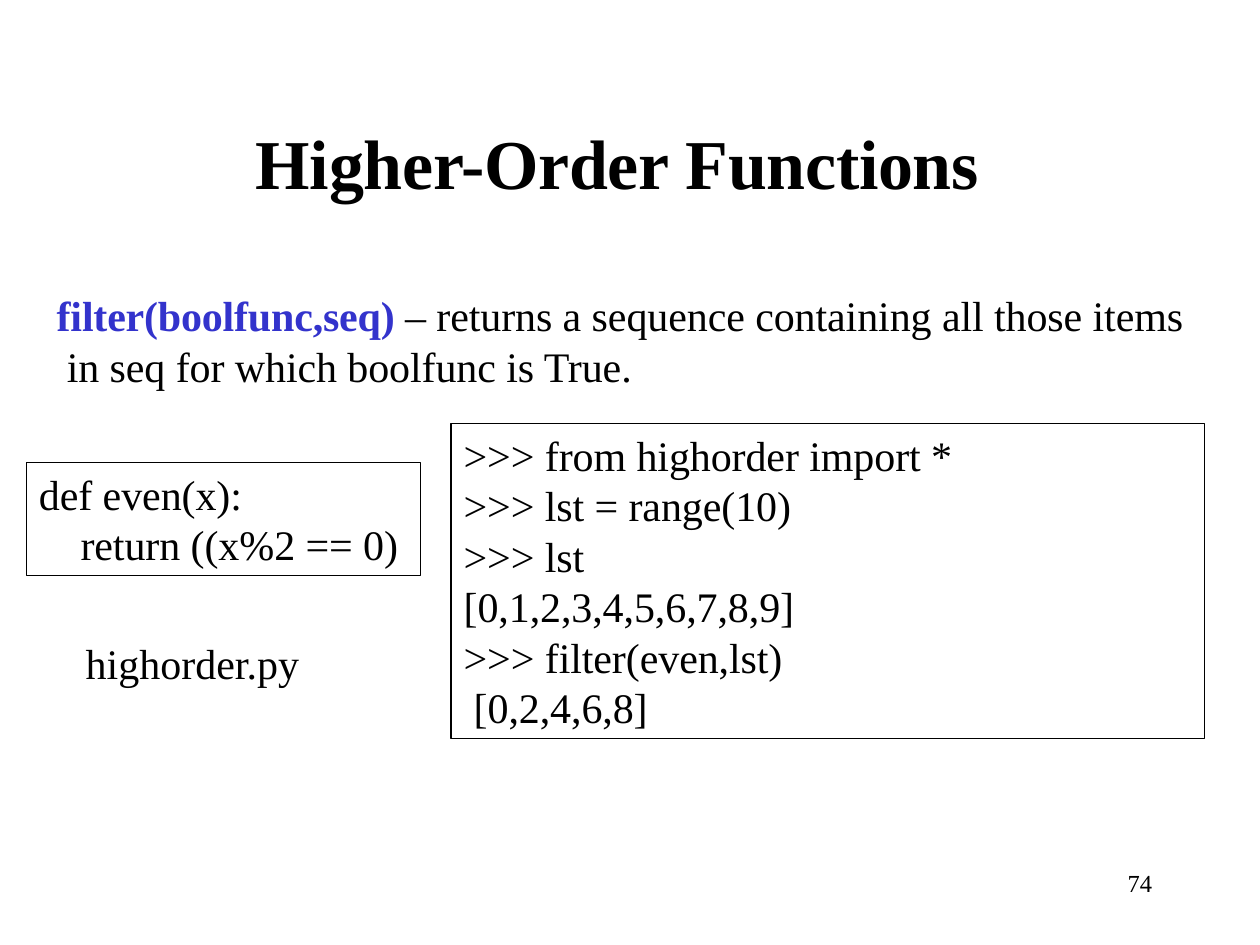
from pptx import Presentation
from pptx.dml.color import RGBColor
from pptx.enum.shapes import MSO_SHAPE
from pptx.enum.text import MSO_ANCHOR, MSO_AUTO_SIZE, PP_ALIGN
from pptx.util import Inches, Pt

BLACK = RGBColor(0x00, 0x00, 0x00)
BLUE = RGBColor(0x33, 0x33, 0xCC)
FONT = "Times New Roman"
TITLE_ONLY = 5


def prepare_frame(shape, top_inset):
    frame = shape.text_frame
    frame.word_wrap = True
    frame.auto_size = MSO_AUTO_SIZE.NONE
    frame.vertical_anchor = MSO_ANCHOR.TOP
    frame.margin_left = frame.margin_right = frame.margin_bottom = 0
    frame.margin_top = Inches(top_inset)
    return frame


def format_paragraph(paragraph, indent=0.01, first_line=0, before=0):
    """Set left and first-line indents in inches and space before in points."""
    paragraph.alignment = PP_ALIGN.LEFT
    paragraph.space_before = Pt(before)
    properties = paragraph._p.get_or_add_pPr()
    properties.set("marL", str(Inches(indent)))
    properties.set("indent", str(Inches(first_line)))


def add_text(paragraph, text, size=24, color=BLACK, bold=False, spacing=0):
    """Append a run; spacing is the letter spacing in hundredths of a point."""
    run = paragraph.add_run()
    run.text = text
    run.font.name = FONT
    run.font.size = Pt(size)
    run.font.bold = bold
    run.font.color.rgb = color
    if spacing:
        run._r.get_or_add_rPr().set("spc", str(spacing))


def set_title(slide, text):
    title = slide.shapes.title
    title.left, title.top = Inches(2.02), Inches(0.94)
    title.width, title.height = Inches(5.81), Inches(0.69)
    paragraph = prepare_frame(title, 0.01).paragraphs[0]
    format_paragraph(paragraph, before=1)
    add_text(paragraph, text, size=40, bold=True, spacing=-15)


def add_text_box(slide, left, top, width, height, top_inset=0.01, **indents):
    """Add a text box and return its paragraph, ready for runs."""
    box = slide.shapes.add_textbox(
        Inches(left), Inches(top), Inches(width), Inches(height))
    paragraph = prepare_frame(box, top_inset).paragraphs[0]
    format_paragraph(paragraph, **indents)
    return paragraph


def add_code_box(slide, left, top, width, height, lines):
    """Add an outlined box holding (text, indent) lines."""
    box = slide.shapes.add_shape(
        MSO_SHAPE.RECTANGLE,
        Inches(left), Inches(top), Inches(width), Inches(height))
    box.shadow.inherit = False
    box.fill.background()
    box.line.color.rgb = BLACK
    box.line.width = Pt(0.75)
    frame = prepare_frame(box, 0.05)
    for index, (text, indent) in enumerate(lines):
        paragraph = frame.add_paragraph() if index else frame.paragraphs[0]
        format_paragraph(paragraph, indent=indent, before=0 if index else 3.7)
        add_text(paragraph, text, spacing=-5)


def main():
    presentation = Presentation()
    presentation.slide_width = Inches(10)
    presentation.slide_height = Inches(7.5)
    slide = presentation.slides.add_slide(
        presentation.slide_layouts[TITLE_ONLY])

    number = add_text_box(slide, 8.91, 6.89, 0.28, 0.24,
                          top_inset=0, indent=0.04)
    add_text(number, "74", size=14)

    set_title(slide, "Higher-Order Functions")

    definition = add_text_box(slide, 0.44, 2.29, 9.05, 0.83,
                              indent=0.09, first_line=-0.08, before=1)
    add_text(definition, "filter(boolfunc,seq) ", color=BLUE, bold=True,
             spacing=-10)
    add_text(definition, "– returns a sequence containing all those items "
             "in seq for which boolfunc is True.", spacing=-5)

    add_code_box(slide, 0.21, 3.67, 3.13, 0.9, [
        ("def even(x):", 0.1),
        ("return ((x%2 == 0)", 0.43),
    ])
    add_code_box(slide, 3.58, 3.36, 5.98, 2.5, [
        (">>> from highorder import *", 0.1),
        (">>> lst = range(10)", 0.1),
        (">>> lst", 0.1),
        ("[0,1,2,3,4,5,6,7,8,9]", 0.1),
        (">>> filter(even,lst)", 0.1),
        ("[0,2,4,6,8]", 0.18),
    ])

    file_name = add_text_box(slide, 0.67, 5.05, 1.74, 0.43, before=1)
    add_text(file_name, "highorder.py")

    presentation.save("out.pptx")


if __name__ == "__main__":
    main()
